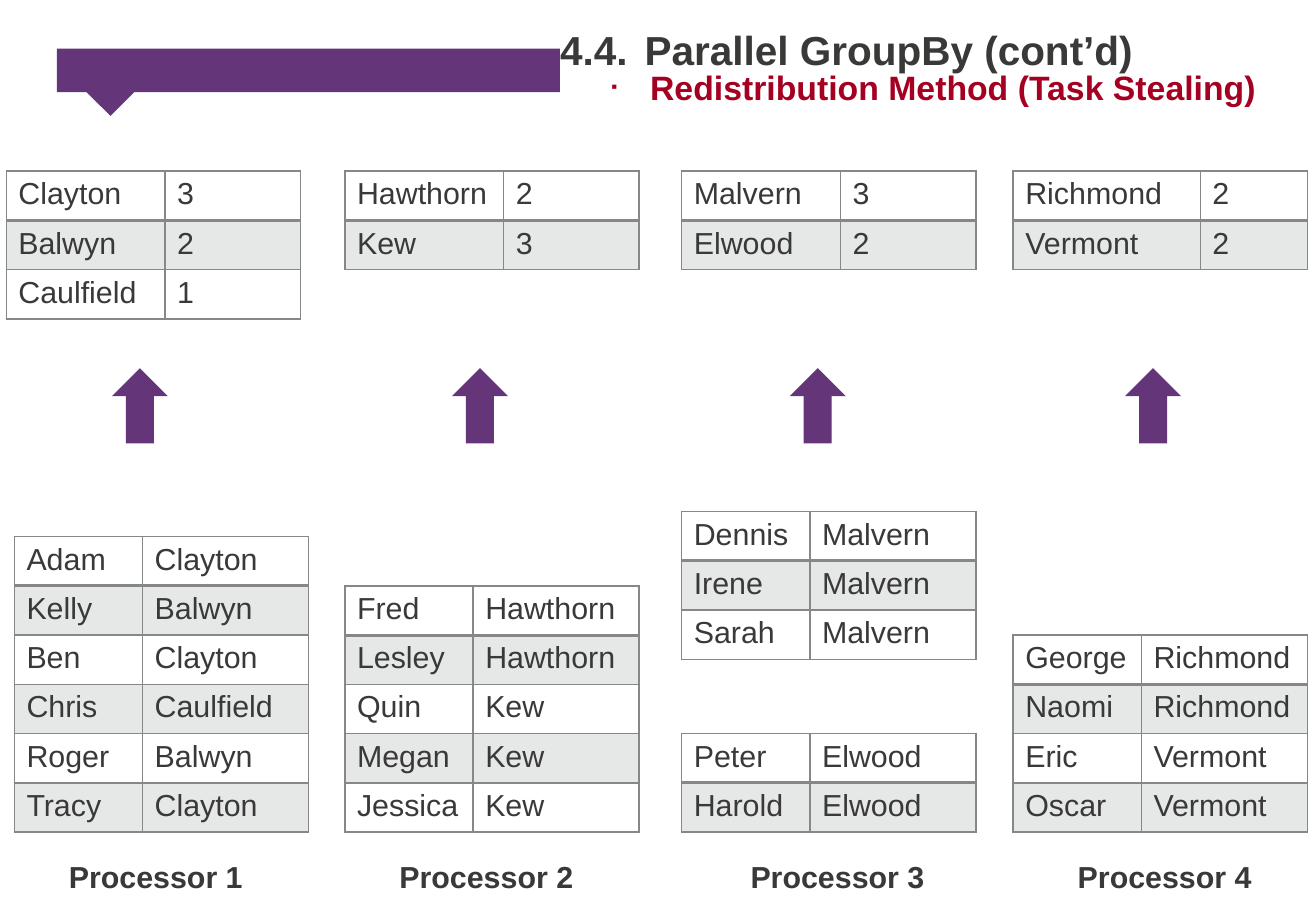
"""Build the slide on parallel GroupBy by the redistribution method."""
from dataclasses import dataclass

from lxml.etree import SubElement
from pptx import Presentation
from pptx.dml.color import RGBColor
from pptx.enum.shapes import MSO_SHAPE
from pptx.enum.text import MSO_ANCHOR, MSO_AUTO_SIZE, PP_ALIGN
from pptx.oxml.ns import qn
from pptx.util import Cm, Pt


@dataclass(frozen=True)
class Theme:
    font: str = "Arial"
    text: str = "393938"
    accent: str = "653579"
    subtitle: str = "A50021"
    line: str = "858789"
    paper: str = "FFFFFF"
    title_size: int = 24
    title_gap_size: int = 36
    subtitle_size: int = 20
    body_size: int = 18
    bullet_percent: int = 50
    band_percent: int = 20
    thin: int = 1
    thick: int = 2


ROW_HEIGHT = 1.03
TABLE_WIDTH = 6.15
NAME_WIDTH = 2.68
COUNT_TOP = 3.58
ARROW_TOP = 7.7
RECORD_BOTTOM = 17.4
UPPER_RECORD_BOTTOM = 13.79
LABEL_TOP = 17.82

PROCESSORS = [
    {
        "count_left": 0.13, "count_split": 3.32, "record_left": 0.3,
        "arrow_left": 2.34, "label_left": 1.19,
        "counts": [("Clayton", "3"), ("Balwyn", "2"), ("Caulfield", "1")],
        "records": [(RECORD_BOTTOM, [
            ("Adam", "Clayton"), ("Kelly", "Balwyn"), ("Ben", "Clayton"),
            ("Chris", "Caulfield"), ("Roger", "Balwyn"), ("Tracy", "Clayton")])],
    },
    {
        "count_left": 7.21, "count_split": 3.32, "record_left": 7.21,
        "arrow_left": 9.45, "label_left": 8.1,
        "counts": [("Hawthorn", "2"), ("Kew", "3")],
        "records": [(RECORD_BOTTOM, [
            ("Fred", "Hawthorn"), ("Lesley", "Hawthorn"), ("Quin", "Kew"),
            ("Megan", "Kew"), ("Jessica", "Kew")])],
    },
    {
        "count_left": 14.25, "count_split": 3.32, "record_left": 14.25,
        "arrow_left": 16.51, "label_left": 15.44,
        "counts": [("Malvern", "3"), ("Elwood", "2")],
        "records": [
            (UPPER_RECORD_BOTTOM, [
                ("Dennis", "Malvern"), ("Irene", "Malvern"), ("Sarah", "Malvern")]),
            (RECORD_BOTTOM, [("Peter", "Elwood"), ("Harold", "Elwood")])],
    },
    {
        "count_left": 21.18, "count_split": 3.91, "record_left": 21.18,
        "arrow_left": 23.52, "label_left": 22.28,
        "counts": [("Richmond", "2"), ("Vermont", "2")],
        "records": [(RECORD_BOTTOM, [
            ("George", "Richmond"), ("Naomi", "Richmond"),
            ("Eric", "Vermont"), ("Oscar", "Vermont")])],
    },
]


def assign(target, values):
    for name, value in values.items():
        setattr(target, name, value)


class SlideBuilder:
    def __init__(self, page, theme):
        self.page = page
        self.theme = theme

    def add_span(self, para, text, color=None, size=None, bold=False):
        span = para.add_run()
        span.text = text
        assign(span.font, {
            "name": self.theme.font, "bold": bold,
            "size": Pt(size or self.theme.body_size)})
        span.font.color.rgb = RGBColor.from_string(color or self.theme.text)

    def place(self, box, left, top, width, height):
        assign(box, {"left": Cm(left), "top": Cm(top),
                     "width": Cm(width), "height": Cm(height)})

    def prepare(self, box, top_margin):
        assign(box.text_frame, {
            "margin_left": 0, "margin_top": Cm(top_margin), "margin_right": 0,
            "margin_bottom": 0, "vertical_anchor": MSO_ANCHOR.TOP,
            "word_wrap": True, "auto_size": MSO_AUTO_SIZE.NONE})
        para = box.text_frame.paragraphs[0]
        assign(para, {"alignment": PP_ALIGN.LEFT, "space_before": Pt(0)})
        return para

    def title(self, number, text):
        box = self.page.shapes.title
        self.place(box, 11.71, 0, 15.8, 3.18)
        box.fill.solid()
        box.fill.fore_color.rgb = RGBColor.from_string(self.theme.paper)
        para = self.prepare(box, 0.11)
        sizes = self.theme.title_size, self.theme.title_gap_size, self.theme.title_size
        for part, size in zip((number, " ", text), sizes):
            self.add_span(para, part, size=size, bold=True)

    def subtitle(self, text):
        box = self.page.placeholders[1]
        self.place(box, 12.78, 1.32, 13.7, 1.35)
        para = self.prepare(box, 0.08)
        para.space_after = Pt(6)
        properties = para._p.get_or_add_pPr()
        properties.set("marL", str(Cm(0.81)))
        properties.set("indent", str(Cm(-0.81)))
        SubElement(properties, qn("a:buSzPct"), val=str(self.theme.bullet_percent * 1000))
        SubElement(properties, qn("a:buFont"), typeface=self.theme.font)
        SubElement(properties, qn("a:buChar"), char="▪")
        self.add_span(para, text, self.theme.subtitle, self.theme.subtitle_size, True)

    def shape(self, kind, left, top, width, height, rotation=0):
        box = self.page.shapes.add_shape(kind, Cm(left), Cm(top), Cm(width), Cm(height))
        box.shadow.inherit = False
        box.rotation = rotation
        box.fill.solid()
        box.fill.fore_color.rgb = RGBColor.from_string(self.theme.accent)
        box.line.fill.background()
        return box

    def banner(self):
        bar = self.shape(MSO_SHAPE.RECTANGLE, 1.19, 1.02, 25.25, 0.91)
        pointer = self.shape(MSO_SHAPE.RECTANGLE, 1.98, 1.27, 0.81, 1.02, 45)
        for box in (bar, pointer):
            self.page.shapes.title.element.addprevious(box.element)

    def label(self, text, left, top):
        box = self.page.shapes.add_textbox(Cm(left), Cm(top), Cm(4.19), Cm(1.02))
        assign(box.text_frame, {
            "word_wrap": False, "auto_size": MSO_AUTO_SIZE.SHAPE_TO_FIT_TEXT})
        self.add_span(box.text_frame.paragraphs[0], text, bold=True)

    def table(self, rows, left, top, split):
        frame = self.page.shapes.add_table(
            len(rows), 2, Cm(left), Cm(top), Cm(TABLE_WIDTH), Cm(ROW_HEIGHT * len(rows)))
        table = frame.table
        assign(table, {"first_row": False, "horz_banding": False})
        for column, width in zip(table.columns, (split, TABLE_WIDTH - split)):
            column.width = Cm(width)
        for index, values in enumerate(rows):
            table.rows[index].height = Cm(ROW_HEIGHT)
            for column, text in enumerate(values):
                cell = table.cell(index, column)
                self.add_span(cell.text_frame.paragraphs[0], text)
                self.dress(cell, index)

    def dress(self, cell, index):
        properties = cell._tc.get_or_add_tcPr()
        heavy_edge = {0: "lnB", 1: "lnT"}.get(index)
        for edge in ("lnL", "lnR", "lnT", "lnB"):
            weight = self.theme.thick if edge == heavy_edge else self.theme.thin
            line = SubElement(properties, qn(f"a:{edge}"), w=str(Pt(weight)))
            paint = SubElement(line, qn("a:solidFill"))
            SubElement(paint, qn("a:srgbClr"), val=self.theme.line)
        if index % 2 == 0:
            cell.fill.background()
            return
        cell.fill.solid()
        cell.fill.fore_color.rgb = RGBColor.from_string(self.theme.line)
        color = properties.find(qn("a:solidFill"))[0]
        SubElement(color, qn("a:alpha"), val=str(self.theme.band_percent * 1000))


def main():
    deck = Presentation()
    assign(deck, {"slide_width": Cm(27.51), "slide_height": Cm(19.05)})
    builder = SlideBuilder(deck.slides.add_slide(deck.slide_layouts[1]), Theme())
    builder.banner()
    builder.title("4.4.", "Parallel GroupBy (cont’d)")
    builder.subtitle("Redistribution Method (Task Stealing)")
    for number, processor in enumerate(PROCESSORS, 1):
        builder.table(processor["counts"], processor["count_left"], COUNT_TOP,
                      processor["count_split"])
        builder.shape(MSO_SHAPE.UP_ARROW, processor["arrow_left"], ARROW_TOP, 1.17, 1.57)
        for bottom, rows in processor["records"]:
            builder.table(rows, processor["record_left"],
                          bottom - ROW_HEIGHT * len(rows), NAME_WIDTH)
        builder.label(f"Processor {number}", processor["label_left"], LABEL_TOP)
    deck.save("out.pptx")


if __name__ == "__main__":
    main()
